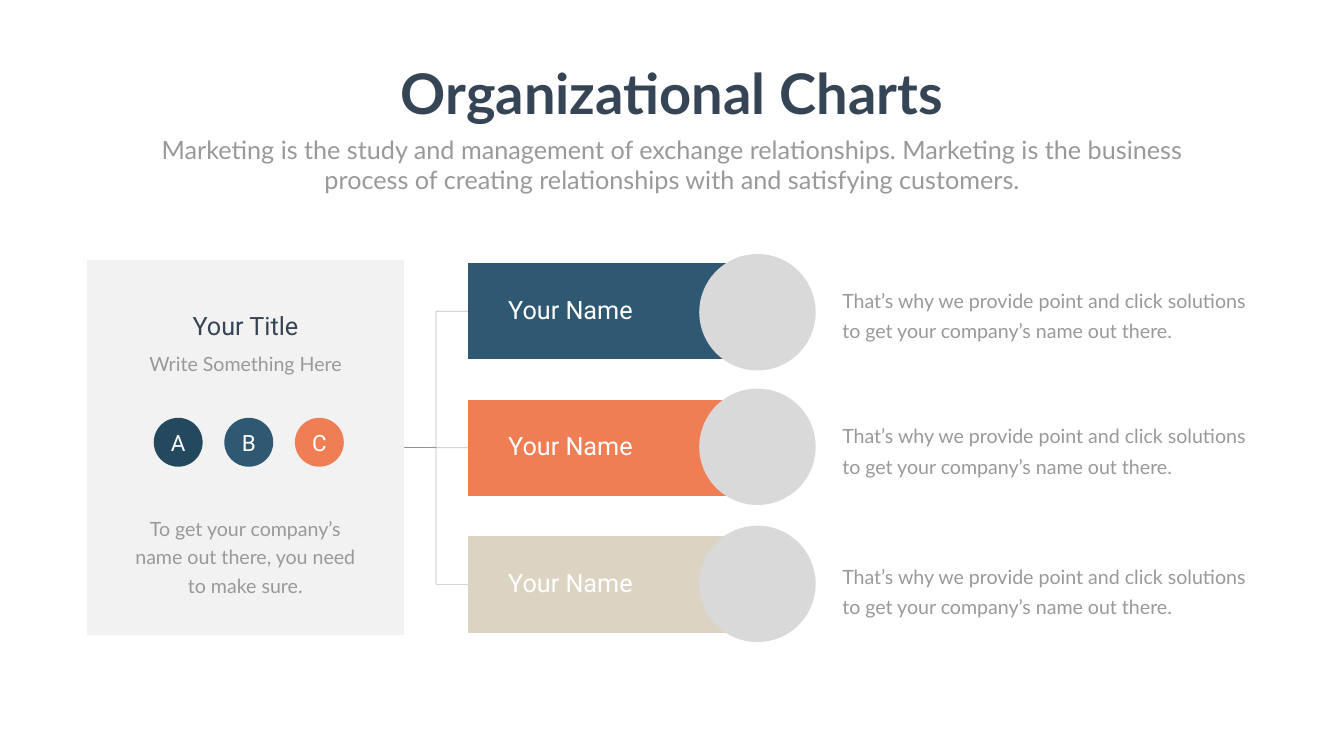
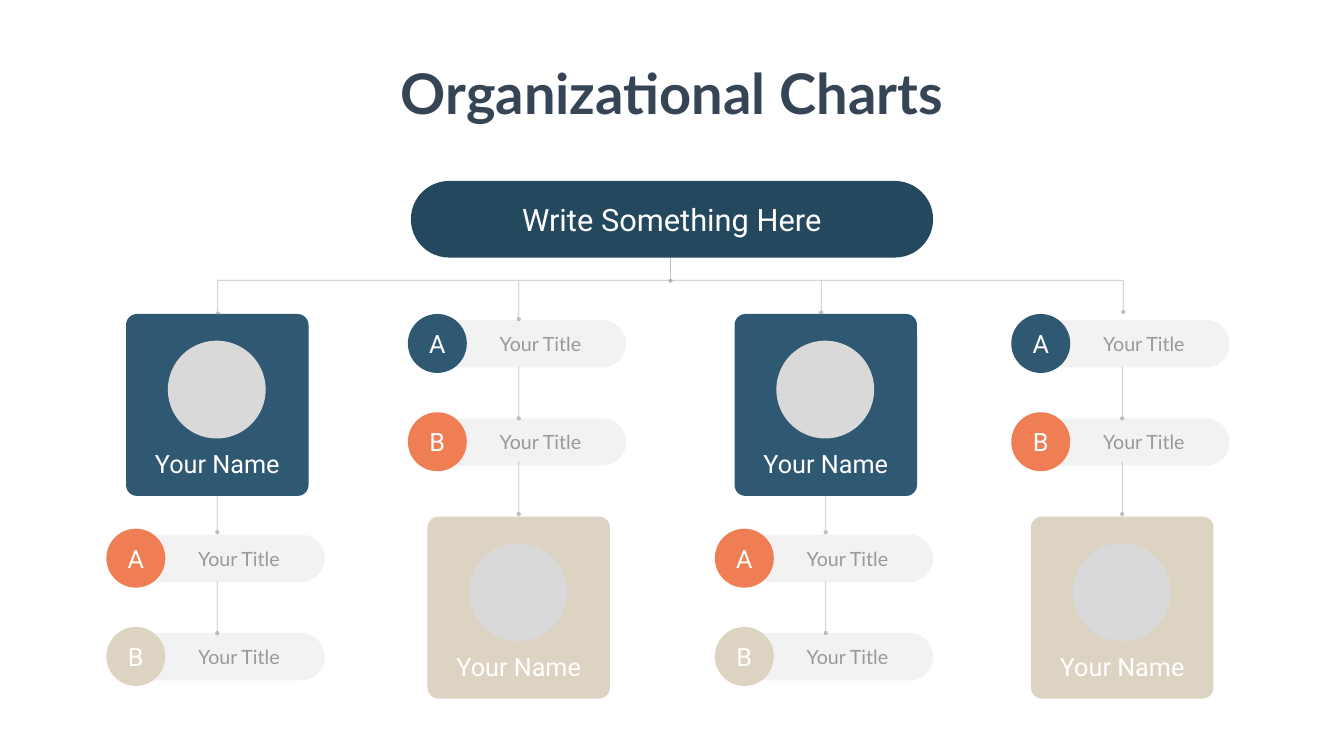
"""Build two organizational chart slides."""
from lxml import etree
from pptx import Presentation
from pptx.dml.color import RGBColor
from pptx.enum.shapes import MSO_CONNECTOR, MSO_SHAPE
from pptx.enum.text import MSO_ANCHOR, MSO_AUTO_SIZE, PP_ALIGN
from pptx.oxml.ns import qn
from pptx.util import Inches, Pt

RECTANGLE, ROUNDED, OVAL = MSO_SHAPE.RECTANGLE, MSO_SHAPE.ROUNDED_RECTANGLE, MSO_SHAPE.OVAL
STRAIGHT, ELBOW = MSO_CONNECTOR.STRAIGHT, MSO_CONNECTOR.ELBOW
TOP, MIDDLE, BOTTOM = MSO_ANCHOR.TOP, MSO_ANCHOR.MIDDLE, MSO_ANCHOR.BOTTOM
LEFT, CENTER = PP_ALIGN.LEFT, PP_ALIGN.CENTER
NO_AUTOFIT = MSO_AUTO_SIZE.NONE
LEFT_SITE, RIGHT_SITE = 1, 3

COLUMNS, ROWS = 26.66, 15
COLORS = {
    "navy": "24485E", "blue": "2F5872", "orange": "EF7E55", "sand": "DCD3C3",
    "ink": "364556", "text": "999999", "line": "808080",
    "portrait": "D9D9D9", "pill": "F2F2F2", "white": "FFFFFF",
}
STYLES = {
    "title": ({"name": "Lato", "size": Pt(80), "bold": True}, "ink"),
    "subtitle": ({"name": "Lato", "size": Pt(36)}, "text"),
    "body": ({"name": "Lato", "size": Pt(28)}, "text"),
    "heading": ({"name": "Roboto", "size": Pt(36)}, "ink"),
    "name": ({"name": "Roboto", "size": Pt(36)}, "white"),
    "letter": ({"name": "Roboto", "size": Pt(32)}, "white"),
    "banner": ({"name": "Roboto", "size": Pt(44)}, "white"),
}
TITLE = "Organizational Charts"
SUBTITLE = ("Marketing is the study and management of exchange relationships. Marketing is the "
            "business process of creating relationships with and satisfying customers.")
DESCRIPTION = ("That’s why we provide point and click solutions to get your company’s name "
               "out there.")


class Deck:
    """Hold the shared style, the grid and the current slide."""

    def __init__(self):
        """Open a presentation sized to the grid."""
        self.presentation = Presentation()
        self.presentation.slide_width = Inches(COLUMNS)
        self.presentation.slide_height = Inches(ROWS)
        self.slide = None

    def column(self, count):
        """Convert grid columns to a length."""
        return round(self.presentation.slide_width * count / COLUMNS)

    def row(self, count):
        """Convert grid rows to a length."""
        return round(self.presentation.slide_height * count / ROWS)

    def box(self, left, top, width, height):
        """Convert a grid area to position and size."""
        return self.column(left), self.row(top), self.column(width), self.row(height)

    def color(self, name):
        """Look up a named colour."""
        return RGBColor.from_string(COLORS[name])

    def label(self, shape, text, style, align=CENTER, anchor=MIDDLE, insets=(0, 0, 0, 0),
              spacing=None, wrap=True):
        """Set one styled paragraph inside a shape."""
        frame = shape.text_frame
        sides = ("margin_left", "margin_top", "margin_right", "margin_bottom")
        values = dict(zip(sides, map(Inches, insets)))
        values.update(word_wrap=wrap, auto_size=NO_AUTOFIT, vertical_anchor=anchor)
        for name, value in values.items():
            setattr(frame, name, value)
        paragraph = frame.paragraphs[0]
        paragraph.alignment = align
        if spacing:
            paragraph.line_spacing = spacing
        run = paragraph.add_run()
        run.text = text
        font_values, color = STYLES[style]
        for name, value in font_values.items():
            setattr(run.font, name, value)
        run.font.color.rgb = self.color(color)

    def new_slide(self):
        """Add a slide with the shared title."""
        self.slide = self.presentation.slides.add_slide(self.presentation.slide_layouts[5])
        title = self.slide.shapes.title
        title.left, title.top, title.width, title.height = self.box(7.7, 1.12, 11.26, 1.45)
        self.label(title, TITLE, "title", anchor=TOP, insets=(0.1, 0.05, 0.1, 0.05), wrap=False)

    def text(self, area, text, style, **options):
        """Add a wrapping text box."""
        shape = self.slide.shapes.add_textbox(*self.box(*area))
        self.label(shape, text, style, anchor=TOP, insets=(0.1, 0.05, 0.1, 0.05), **options)

    def shape(self, kind, area, fill, rounding=None, outline=None, opacity=None):
        """Add a flat preset shape."""
        shape = self.slide.shapes.add_shape(kind, *self.box(*area))
        shape.shadow.inherit = False
        shape.fill.solid()
        shape.fill.fore_color.rgb = self.color(fill)
        if rounding is not None:
            shape.adjustments[0] = rounding
        if outline:
            shape.line.color.rgb = self.color(outline)
            shape.line.width = Pt(1)
        else:
            shape.line.fill.background()
        if opacity:
            self.fade(shape, opacity)
        return shape

    def fade(self, shape, opacity):
        """Set the opacity percentage of the first colour of a shape."""
        color = shape.element.spPr.find(".//" + qn("a:srgbClr"))
        etree.SubElement(color, qn("a:alpha")).set("val", str(opacity * 1000))

    def style_line(self, line, ends=()):
        """Make a thin half-transparent line with dots at the named ends."""
        line.line.color.rgb = self.color("line")
        line.line.width = Pt(1)
        self.fade(line, 50)
        for end in ends:
            outline = line.element.spPr.find(qn("a:ln"))
            etree.SubElement(outline, qn(f"a:{end}End")).set("type", "oval")

    def connector(self, start, end, kind=STRAIGHT, ends=()):
        """Add a connector between two grid points."""
        connector = self.slide.shapes.add_connector(
            kind, self.column(start[0]), self.row(start[1]), self.column(end[0]), self.row(end[1]))
        self.style_line(connector, ends)
        etree.SubElement(connector.element.spPr, qn("a:effectLst"))
        return connector

    def drop(self, x, top, bottom):
        """Add a vertical connector with a dot at its lower end."""
        self.connector((x, top), (x, bottom), ends=("tail",))

    def bus(self, points):
        """Add an open outline with a dot at both ends."""
        first, *others = [(self.column(x), self.row(y)) for x, y in points]
        builder = self.slide.shapes.build_freeform(*first)
        builder.add_line_segments(others, close=False)
        shape = builder.convert_to_shape()
        shape.shadow.inherit = False
        shape.fill.background()
        self.style_line(shape, ("head", "tail"))

    def badge(self, left, top, size, letter, fill, style):
        """Add a round letter badge."""
        shape = self.shape(OVAL, (left, top, size, size), fill)
        self.label(shape, letter, style, wrap=False)

    def pill(self, left, top, letter, fill):
        """Add a title pill with its letter badge."""
        shape = self.shape(ROUNDED, (left, top, 3.94, 0.94), "pill", rounding=0.5)
        self.label(shape, "Your Title", "body", insets=(0.54, 0, 0, 0))
        self.badge(left - 0.39, top - 0.12, 1.17, letter, fill, "name")

    def card(self, left, top, fill):
        """Add a name card with a portrait disc."""
        shape = self.shape(ROUNDED, (left, top, 3.62, 3.61), fill, rounding=0.06)
        self.label(shape, "Your Name", "name", anchor=BOTTOM, insets=(0, 0, 0, 0.28))
        self.shape(OVAL, (left + 0.83, top + 0.53, 1.94, 1.94), "portrait")


def build_team_slide(deck):
    """Build the panel that branches into three named bars."""
    deck.new_slide()
    deck.text((2.92, 2.61, 20.82, 1.31), SUBTITLE, "subtitle")
    panel = deck.shape(RECTANGLE, (1.71, 5.15, 6.31, 7.46), "line", outline="white", opacity=10)
    deck.text((3.01, 6.11, 3.72, 0.71), "Your Title", "heading")
    deck.text((2.64, 6.83, 4.46, 0.62), "Write Something Here", "body", spacing=Pt(40.8))
    for index, (letter, fill) in enumerate(zip("ABC", ("navy", "blue", "orange"))):
        deck.badge(3.05 + 1.4 * index, 8.29, 0.97, letter, fill, "letter")
    deck.text((2.39, 10.1, 4.95, 1.77),
              "To get your company’s name out there, you need to make sure.", "body",
              spacing=Pt(40.8))
    members = (("blue", 5.04, 5.56, ELBOW), ("orange", 7.71, 8.24, STRAIGHT),
               ("sand", 10.43, 11.03, ELBOW))
    for index, (fill, portrait_top, text_top, kind) in enumerate(members):
        top = 5.21 + 2.71 * index
        bar = deck.shape(RECTANGLE, (9.28, top, 6.31, 1.93), fill, outline="white")
        deck.label(bar, "Your Name", "name", align=LEFT, insets=(0.8, 0.03, 0.03, 0.03),
                   spacing=0.9)
        deck.shape(OVAL, (13.87, portrait_top, 2.31, 2.31), "portrait")
        deck.text((16.61, text_top, 8.44, 1.25), DESCRIPTION, "body", align=LEFT, spacing=Pt(43))
        branch = deck.connector((8.02, 8.88), (9.28, top + 0.96), kind)
        branch.begin_connect(panel, RIGHT_SITE)
        branch.end_connect(bar, LEFT_SITE)


def build_tree_slide(deck):
    """Build the banner with four branches of cards and pills."""
    deck.new_slide()
    banner = deck.shape(ROUNDED, (8.15, 3.59, 10.36, 1.52), "navy", rounding=0.5)
    deck.label(banner, "Write Something Here", "banner")
    card_first = ("blue", 6.23, (10.61, 12.56), ("orange", "sand"),
                  ((9.81, 10.56), (11.53, 12.56)))
    pills_first = ("sand", 10.25, (6.35, 8.3), ("blue", "orange"),
                   ((7.27, 8.3), (9.16, 10.2)))
    branches = zip((2.5, 8.48, 14.57, 20.45), (card_first, pills_first) * 2)
    for left, (card_fill, card_top, pill_tops, badge_fills, drops) in branches:
        deck.card(left, card_top, card_fill)
        for letter, top, fill in zip("AB", pill_tops, badge_fills):
            deck.pill(left, top, letter, fill)
        for top, bottom in drops:
            deck.drop(left + 1.81, top, bottom)
    deck.bus(((4.32, 6.22), (4.32, 5.56), (22.28, 5.56), (22.28, 6.19)))
    for x, top, bottom in ((13.3, 5.11, 5.57), (10.29, 5.57, 6.33), (16.29, 5.57, 6.2)):
        deck.drop(x, top, bottom)


def main():
    """Build and save the presentation."""
    deck = Deck()
    build_team_slide(deck)
    build_tree_slide(deck)
    deck.presentation.save("out.pptx")


if __name__ == "__main__":
    main()
